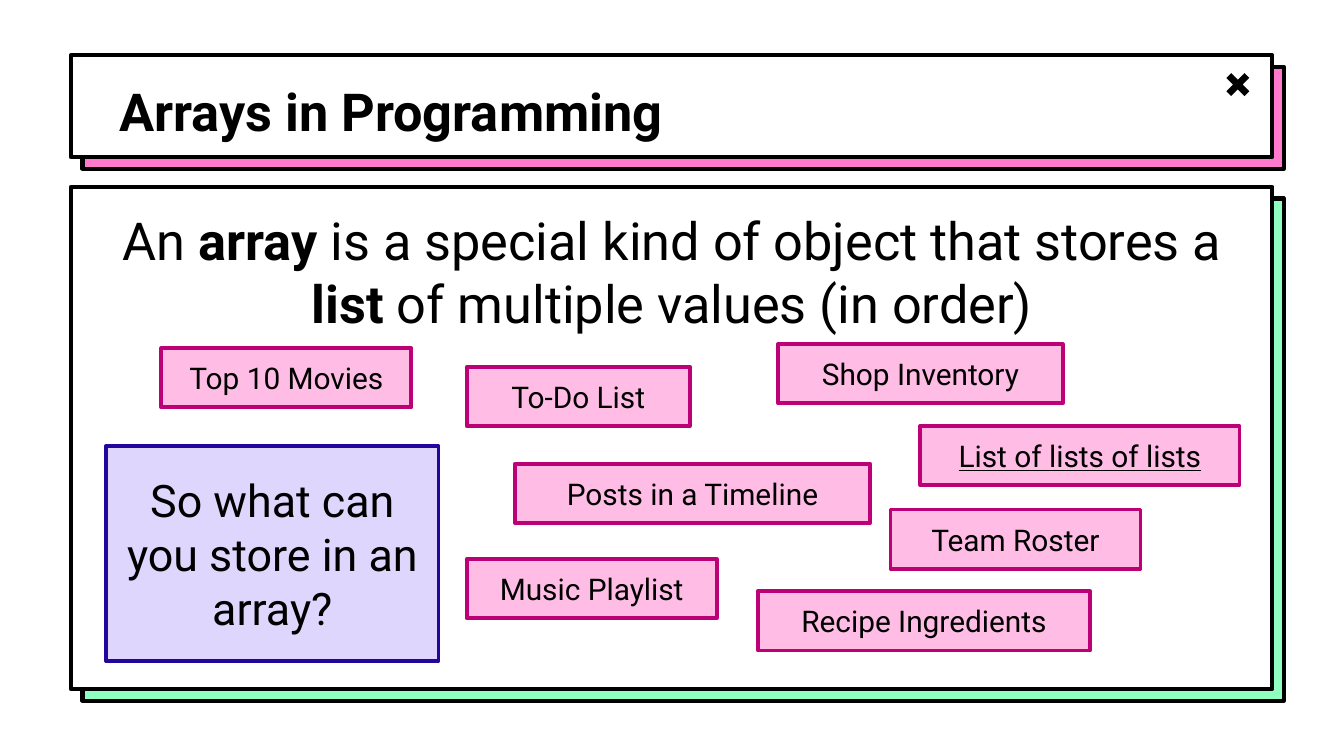
from typing import NamedTuple

from lxml.etree import SubElement
from pptx import Presentation
from pptx.dml.color import RGBColor
from pptx.enum.shapes import MSO_SHAPE
from pptx.enum.text import MSO_ANCHOR, PP_ALIGN
from pptx.oxml.ns import qn
from pptx.util import Pt

COLOURS = {
    "black": "000000",
    "white": "FFFFFF",
    "pink": "FF7ACD",
    "green": "8FFFC1",
    "magenta": "BC0076",
    "violet": "5D36F7",
    "indigo": "24069D",
}
FONT = "Roboto"
SHADOW_OFFSET = 6.2
EXAMPLE_HEIGHT = 31.7


class Box(NamedTuple):
    left: float
    top: float
    width: float
    height: float


class Style(NamedTuple):
    fill: str
    line: str | None = None
    line_width: float = 0
    opacity: int = 100


class Run(NamedTuple):
    text: str
    bold: bool = False
    underline: bool = False


class Panel(NamedTuple):
    box: Box
    shadow_colour: str


class Example(NamedTuple):
    text: str
    left: float
    top: float
    width: float
    underline: bool = False


PANEL_STYLE = Style("white", "black", 2.25)
QUESTION_STYLE = Style("violet", "indigo", 2, 20)
EXAMPLE_STYLE = Style("pink", "magenta", 2, 50)

TITLE_PANEL = Panel(Box(38, 29.6, 643.6, 54.6), "pink")
BODY_PANEL = Panel(Box(38, 100.2, 643.6, 269), "green")

EXAMPLES = [
    Example("Top 10 Movies", 86.4, 186.6, 134),
    Example("Music Playlist", 250, 299.6, 134),
    Example("Posts in a Timeline", 275.8, 248.5, 190.4),
    Example("To-Do List", 250, 196.6, 119.6),
    Example("Recipe Ingredients", 406, 316.8, 178),
    Example("Shop Inventory", 416.8, 184.4, 152.6),
    Example("Team Roster", 477, 273, 134),
    Example("List of lists of lists", 493, 228.2, 171, underline=True),
]


def colour(name: str) -> RGBColor:
    return RGBColor.from_string(COLOURS[name])


def add_block(slide, box: Box, style: Style, kind=MSO_SHAPE.RECTANGLE):
    """Add a filled shape without an effect shadow."""
    shape = slide.shapes.add_shape(kind, *map(Pt, box))
    shape.shadow.inherit = False
    shape.fill.solid()
    shape.fill.fore_color.rgb = colour(style.fill)
    if style.opacity < 100:
        colour_element = shape.fill._xPr.find(".//" + qn("a:srgbClr"))
        SubElement(colour_element, qn("a:alpha"), val=str(style.opacity * 1000))
    if style.line:
        shape.line.color.rgb = colour(style.line)
        shape.line.width = Pt(style.line_width)
    else:
        shape.line.fill.background()
    return shape


def write(shape, runs: list[Run], size: float, align=PP_ALIGN.CENTER,
          anchor=MSO_ANCHOR.MIDDLE, inset: float = 7.2) -> None:
    """Fill a shape with one paragraph of formatted runs."""
    frame = shape.text_frame
    frame_format = {
        "word_wrap": True,
        "vertical_anchor": anchor,
        "margin_left": Pt(7.2),
        "margin_right": Pt(7.2),
        "margin_top": Pt(inset),
        "margin_bottom": Pt(inset),
    }
    for name, value in frame_format.items():
        setattr(frame, name, value)
    paragraph = frame.paragraphs[0]
    paragraph.alignment = align
    for part in runs:
        run = paragraph.add_run()
        run.text = part.text
        run_format = {"name": FONT, "size": Pt(size), "bold": part.bold,
                      "underline": part.underline}
        for name, value in run_format.items():
            setattr(run.font, name, value)
        run.font.color.rgb = colour("black")


def add_panel(slide, panel: Panel) -> None:
    """Add a white window with an offset coloured block behind it."""
    behind = panel.box._replace(left=panel.box.left + SHADOW_OFFSET,
                                top=panel.box.top + SHADOW_OFFSET)
    add_block(slide, behind, PANEL_STYLE._replace(fill=panel.shadow_colour))
    add_block(slide, panel.box, PANEL_STYLE)


def add_example(slide, example: Example) -> None:
    box = Box(example.left, example.top, example.width, EXAMPLE_HEIGHT)
    shape = add_block(slide, box, EXAMPLE_STYLE)
    write(shape, [Run(example.text, underline=example.underline)], 16)


def main() -> None:
    presentation = Presentation()
    presentation.slide_width, presentation.slide_height = Pt(720), Pt(405)
    slide = presentation.slides.add_slide(presentation.slide_layouts[6])

    # Windows and close mark
    add_panel(slide, TITLE_PANEL)
    cross = add_block(slide, Box(653.8, 36, 18.7, 18.7), Style("black"),
                      MSO_SHAPE.MATH_MULTIPLY)
    cross.adjustments[0] = 0.193
    add_panel(slide, BODY_PANEL)

    # Title
    title = slide.shapes.add_textbox(*map(Pt, Box(56.9, 35.3, 607, 45.4)))
    write(title, [Run("Arrays in Programming", bold=True)], 28,
          PP_ALIGN.LEFT, MSO_ANCHOR.TOP)

    # Definition
    definition = slide.shapes.add_textbox(*map(Pt, Box(54, 108, 612, 69.8)))
    write(definition, [
        Run("An "),
        Run("array", bold=True),
        Run(" is a special kind of object that stores a "),
        Run("list", bold=True),
        Run(" of multiple values (in order)"),
    ], 28, anchor=MSO_ANCHOR.TOP, inset=3.6)

    # Question and its answers
    question = add_block(slide, Box(56.9, 239, 178, 115.2), QUESTION_STYLE)
    write(question, [Run("So what can you store in an array?")], 24)
    for example in EXAMPLES:
        add_example(slide, example)

    presentation.save("out.pptx")


if __name__ == "__main__":
    main()
